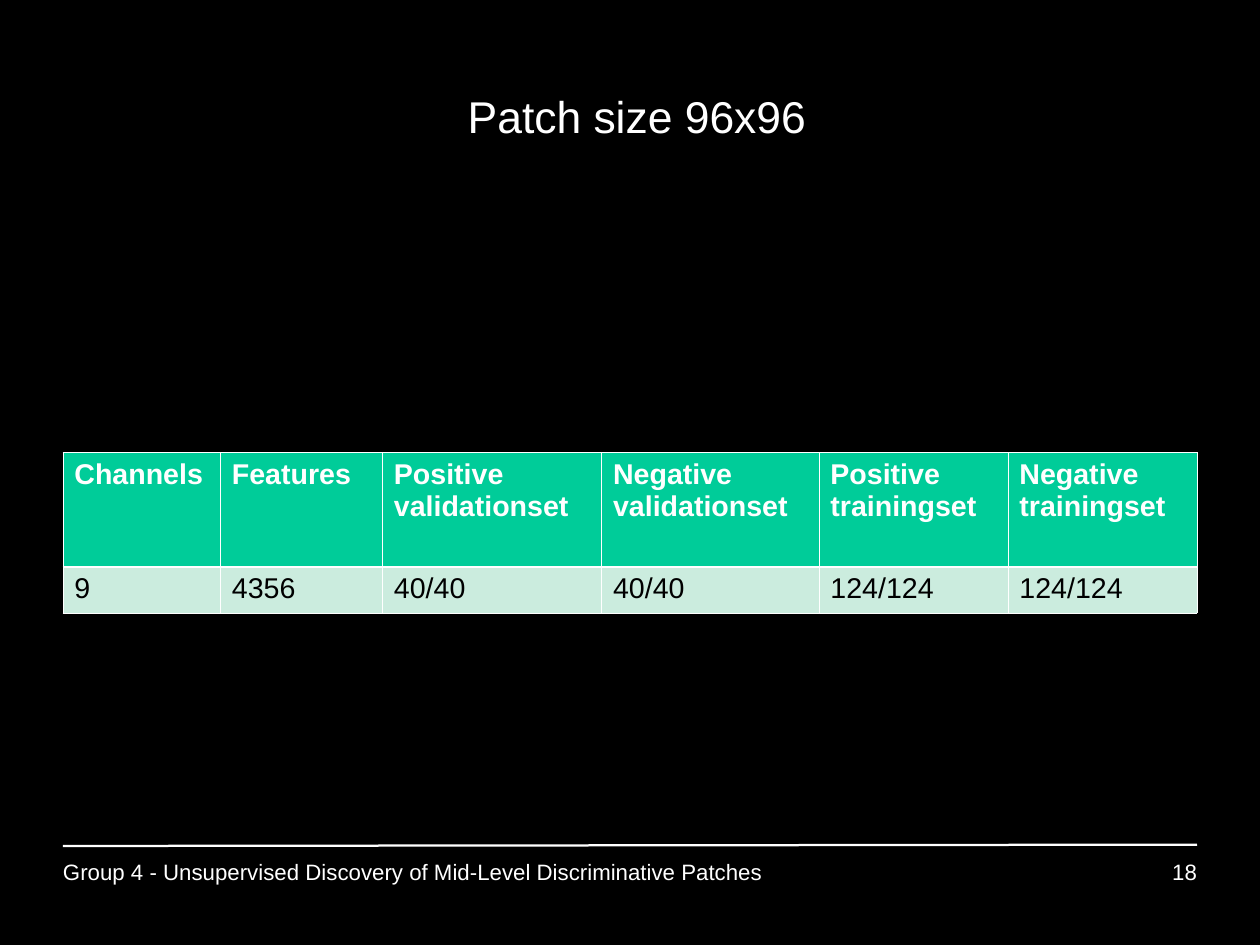
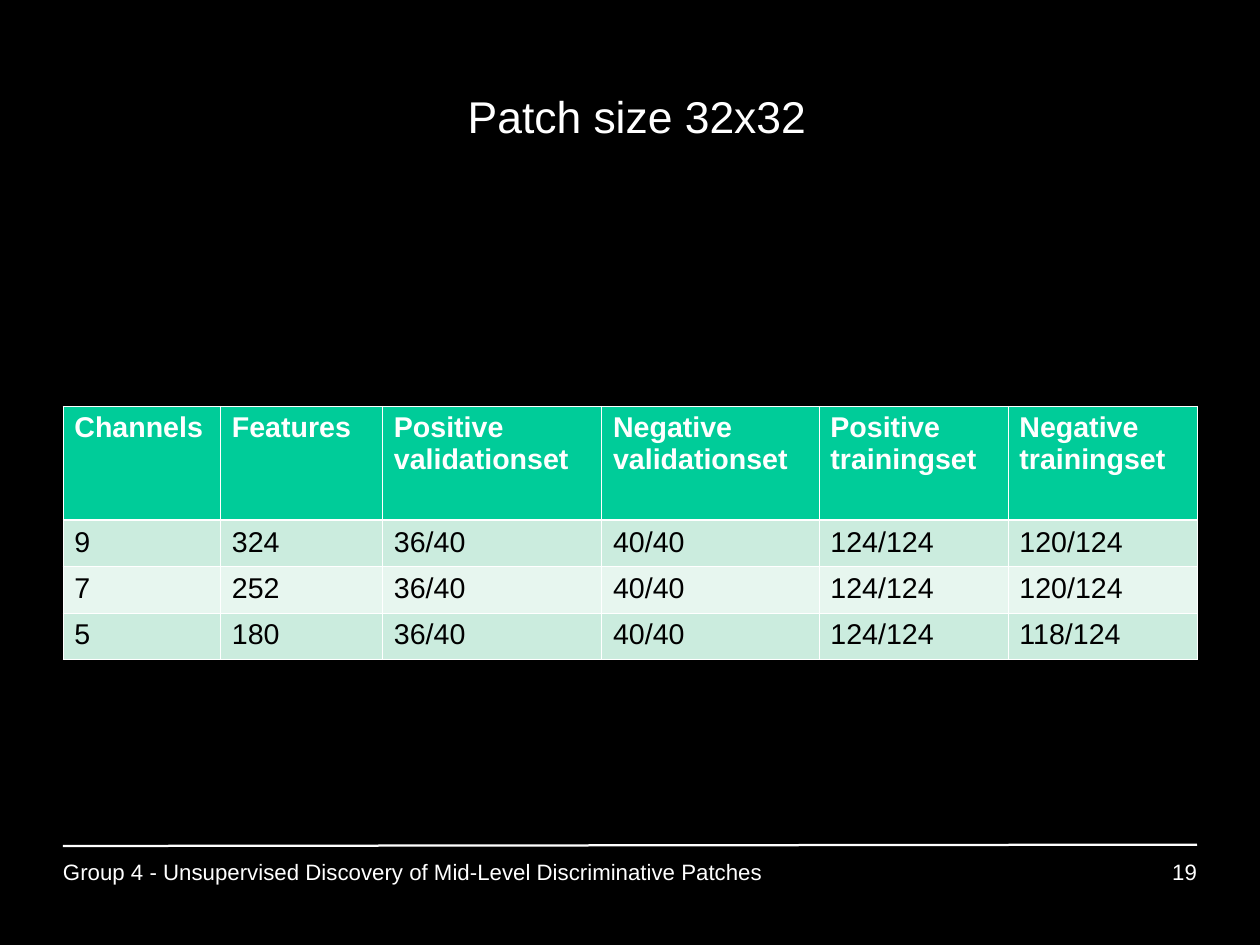
from dataclasses import dataclass

from lxml import etree
from pptx import Presentation
from pptx.dml.color import RGBColor as RGB
from pptx.enum import shapes, text
from pptx.oxml import ns
from pptx.util import Cm, Pt

# Content
FOOT = "Group 4 - Unsupervised Discovery of Mid-Level Discriminative Patches"
FIRST = 18
HEAD = [
    ["Channels"],
    ["Features"],
    ["Positive validationset"],
    ["Negative validationset"],
    ["Positive", "trainingset"],
    ["Negative", "trainingset"],
]
PAGES = [
    ("Patch size 96x96", [
        ["9", "4356", "40/40", "40/40", "124/124", "124/124"],
    ]),
    ("Patch size 32x32", [
        ["9", "324", "36/40", "40/40", "124/124", "120/124"],
        ["7", "252", "36/40", "40/40", "124/124", "120/124"],
        ["5", "180", "36/40", "40/40", "124/124", "118/124"],
    ]),
]


@dataclass(frozen=True)
class Theme:
    font: str = "Arial"
    back: str = "000000"
    ink: str = "FFFFFF"
    dark: str = "000000"
    head: str = "00CC99"
    bands: tuple = ("CBECDE", "E7F6EF")
    title: int = 28
    body: int = 18
    small: int = 14
    rule: float = 1.42
    thin: float = 0.45
    thick: float = 1.47
    lead: float = 0.93


T = Theme()

# Layout, in centimetres
WIDE, HIGH = 28, 21
LEFT, SPAN = 1.4, 25.2
COLS = [3.5, 3.6, 4.87, 4.83, 4.2, 4.2]
HEAD_H, ROW_H, MID = 2.54, 1.03, 11.84
FOOT_Y, FOOT_H, FOOT_W, NUM_W = 19.13, 1.45, 17.05, 6.53


def write(frame, lines, size, color, bold=False, align=None, lead=None):
    """Fill a text frame, one paragraph a line."""
    for i, line in enumerate(lines):
        para = frame.add_paragraph() if i else frame.paragraphs[0]
        para.alignment = align
        para.line_spacing = lead
        run = para.add_run()
        run.text = line
        font = run.font
        font.name, font.size, font.bold = T.font, Pt(size), bold
        font.color.rgb = RGB.from_string(color)


def inset(frame, top=0):
    frame.margin_left = frame.margin_right = frame.margin_bottom = 0
    frame.margin_top = Cm(top)
    frame.word_wrap = True
    frame.auto_size = text.MSO_AUTO_SIZE.NONE


def note(slide, words, left, width, align):
    box = slide.shapes.add_textbox(Cm(left), Cm(FOOT_Y), Cm(width), Cm(FOOT_H))
    inset(box.text_frame)
    write(box.text_frame, [words], T.small, T.ink, align=align, lead=T.lead)


def edge(cell, sides):
    """Draw cell borders from a dict of side to width."""
    props = cell._tc.get_or_add_tcPr()
    for side, width in sides.items():
        line = etree.SubElement(props, ns.qn(f"a:ln{side}"), w=str(Pt(width)))
        fill = etree.SubElement(line, ns.qn("a:solidFill"))
        etree.SubElement(fill, ns.qn("a:srgbClr"), val=T.ink)


def grid(slide, rows):
    """Place the table, centred on MID."""
    tall = HEAD_H + ROW_H * len(rows)
    table = slide.shapes.add_table(
        len(rows) + 1, len(COLS), Cm(LEFT), Cm(MID - tall / 2), Cm(SPAN), Cm(tall)
    ).table
    for col, width in zip(table.columns, COLS):
        col.width = Cm(width)
    full = [HEAD] + [[[word] for word in row] for row in rows]
    for r, row in enumerate(full):
        top = r == 0
        table.rows[r].height = Cm(HEAD_H if top else ROW_H)
        fill = T.head if top else T.bands[(r - 1) % 2]
        sides = {"L": T.thin, "R": T.thin,
                 "T": T.thick if r == 1 else T.thin,
                 "B": T.thick if top else T.thin}
        for c, lines in enumerate(row):
            cell = table.cell(r, c)
            edge(cell, sides)
            cell.fill.solid()
            cell.fill.fore_color.rgb = RGB.from_string(fill)
            write(cell.text_frame, lines, T.body, T.ink if top else T.dark, top)


def setup(deck):
    """Set the shared background and title place; return the layout."""
    deck.slide_width, deck.slide_height = Cm(WIDE), Cm(HIGH)
    fill = deck.slide_master.background.fill
    fill.solid()
    fill.fore_color.rgb = RGB.from_string(T.back)
    base = deck.slide_layouts.get_by_name("Title Only")
    title = base.placeholders[0]
    title.left, title.top = Cm(LEFT), Cm(0.85)
    title.width, title.height = Cm(SPAN), Cm(3.5)
    return base


def rule(slide):
    line = slide.shapes.add_connector(
        shapes.MSO_CONNECTOR.STRAIGHT,
        Cm(LEFT), Cm(18.8), Cm(LEFT + SPAN), Cm(18.77))
    line.line.color.rgb = RGB.from_string(T.ink)
    line.line.width = Pt(T.rule)
    etree.SubElement(line.element.spPr, ns.qn("a:effectLst"))


def build(deck, base, num, name, rows):
    slide = deck.slides.add_slide(base)
    rule(slide)
    note(slide, FOOT, LEFT, FOOT_W, text.PP_ALIGN.LEFT)
    note(slide, str(num), LEFT + SPAN - NUM_W, NUM_W, text.PP_ALIGN.RIGHT)
    # Title
    frame = slide.shapes.title.text_frame
    inset(frame, 0.08)
    frame.vertical_anchor = text.MSO_ANCHOR.MIDDLE
    write(frame, [name], T.title, T.ink, align=text.PP_ALIGN.CENTER, lead=T.lead)
    frame.paragraphs[0]._p.get_or_add_pPr().set("marL", str(Cm(0.3)))
    grid(slide, rows)


def main():
    deck = Presentation()
    base = setup(deck)
    for num, (name, rows) in enumerate(PAGES, FIRST):
        build(deck, base, num, name, rows)
    deck.save("out.pptx")


if __name__ == "__main__":
    main()
